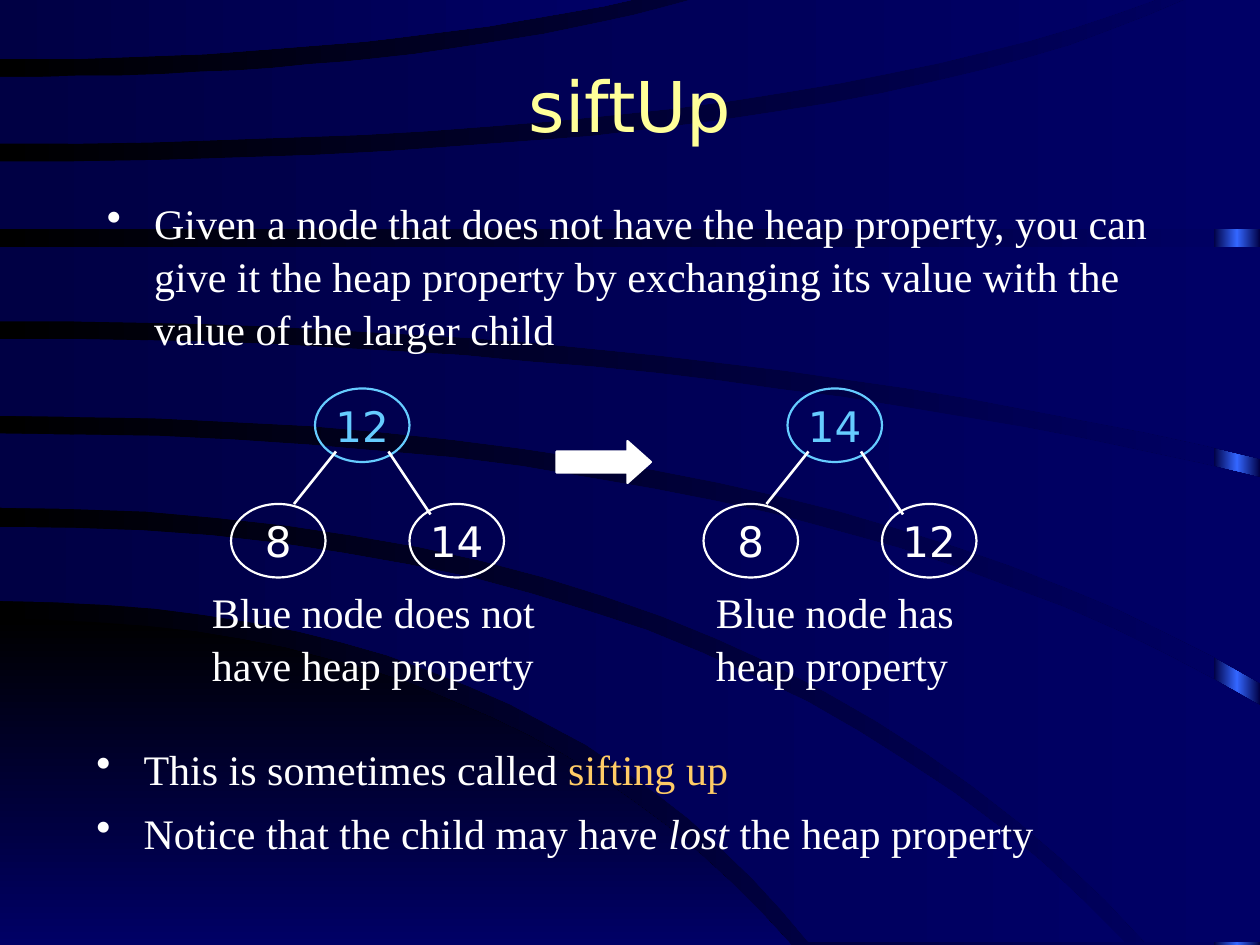
import copy

import pptx
import pptx.dml.color
import pptx.enum.shapes
import pptx.enum.text
import pptx.oxml
import pptx.oxml.ns
import pptx.util

RGB = pptx.dml.color.RGBColor
SHAPE = pptx.enum.shapes.MSO_SHAPE
ALIGN = pptx.enum.text.PP_ALIGN
ANCHOR = pptx.enum.text.MSO_ANCHOR

BLACK = RGB(0x00, 0x00, 0x00)
NAVY = RGB(0x00, 0x00, 0x66)
DARK_NAVY = RGB(0x00, 0x00, 0x44)
BLUE = RGB(0x33, 0x66, 0xFF)
SKY = RGB(0x66, 0xCC, 0xFF)
WHITE = RGB(0xFF, 0xFF, 0xFF)
YELLOW = RGB(0xFF, 0xFF, 0x99)
ORANGE = RGB(0xFF, 0xCC, 0x66)

SERIF = "Times New Roman"
SANS = "DejaVu Sans"


class SlideBuilder:
    """Draw styled elements on a 120 by 90 grid, and swooshes in thousandths of the width."""

    def __init__(self, prs):
        self.s = prs.slides.add_slide(prs.slide_layouts[6])
        self.shapes = self.s.shapes
        self.col = prs.slide_width / 120
        self.row = prs.slide_height / 90
        self.share = prs.slide_width / 1000

    def box(self, x, y, w, h):
        return [round(v) for v in (x * self.col, y * self.row, w * self.col, h * self.row)]

    def gradient(self, fill, colors, angle=0):
        fill.gradient()
        fill.gradient_angle = angle
        first = fill._fill._gradFill.gsLst[0]
        for _ in colors[2:]:
            first.addnext(copy.deepcopy(first))
        for i, (stop, color) in enumerate(zip(fill.gradient_stops, colors)):
            stop.color.rgb = color
            stop.position = i / (len(colors) - 1)

    def background(self, *colors):
        self.gradient(self.s.background.fill, colors)

    def curve(self, y0, bend, x1, y1, steps=20):
        ts = [i / steps for i in range(steps + 1)]
        return [(2 * t * (1 - t) * bend + t * t * x1, y0 + t * t * (y1 - y0)) for t in ts]

    def swoosh(self, top, bottom, colors, angle=0, corners=()):
        points = self.curve(*top) + list(corners) + self.curve(*bottom)[::-1]
        fb = self.shapes.build_freeform(*points[0], scale=self.share)
        fb.add_line_segments(points[1:], close=True)
        sp = fb.convert_to_shape()
        sp.shadow.inherit = False
        sp.line.fill.background()
        self.gradient(sp.fill, colors, angle)

    def strip(self, box, colors):
        sp = self.shape(SHAPE.RECTANGLE, box)
        sp.line.fill.background()
        self.gradient(sp.fill, colors)

    def shape(self, kind, box, line=WHITE, fill=None):
        sp = self.shapes.add_shape(kind, *self.box(*box))
        sp.shadow.inherit = False
        sp.line.color.rgb = line
        sp.line.width = pptx.util.Pt(1.25)
        if fill is None:
            sp.fill.background()
        else:
            sp.fill.solid()
            sp.fill.fore_color.rgb = fill
        return sp

    def run(self, p, text, color=WHITE, font=SERIF, size=24, italic=False):
        r = p.add_run()
        r.text = text
        r.font.name = font
        r.font.size = pptx.util.Pt(size)
        r.font.color.rgb = color
        r.font.italic = italic

    def node(self, x, y, text, color=WHITE):
        tf = self.shape(SHAPE.OVAL, (x, y, 9, 7), color).text_frame
        tf.word_wrap = False
        p = tf.paragraphs[0]
        p.alignment = ALIGN.CENTER
        self.run(p, text, color, SANS)

    def edge(self, x1, y1, x2, y2):
        ends = self.box(x1, y1, x2, y2)
        c = self.shapes.add_connector(pptx.enum.shapes.MSO_CONNECTOR.STRAIGHT, *ends)
        c.line.color.rgb = WHITE
        c.line.width = pptx.util.Pt(1.5)
        c._element.spPr.append(pptx.oxml.parse_xml(
            "<a:effectLst %s/>" % pptx.oxml.ns.nsdecls("a")))

    def textbox(self, box):
        tf = self.shapes.add_textbox(*self.box(*box)).text_frame
        tf.word_wrap = True
        return tf

    def title(self, box, text):
        tf = self.textbox(box)
        tf.vertical_anchor = ANCHOR.MIDDLE
        p = tf.paragraphs[0]
        p.alignment = ALIGN.CENTER
        self.run(p, text, YELLOW, SANS, 40)

    def label(self, box, text):
        p = self.textbox(box).paragraphs[0]
        p.line_spacing = 1.05
        self.run(p, text)

    def bullets(self, box, items):
        tf = self.textbox(box)
        for i, runs in enumerate(items):
            p = tf.add_paragraph() if i else tf.paragraphs[0]
            p.line_spacing = 1.05
            p.space_before = pptx.util.Pt(6)
            pPr = p._p.get_or_add_pPr()
            indent = round(4.5 * self.col)
            pPr.set("marL", str(indent))
            pPr.set("indent", str(-indent))
            pPr.append(pptx.oxml.parse_xml(
                '<a:buChar %s char="•"/>' % pptx.oxml.ns.nsdecls("a")))
            for text, style in runs:
                self.run(p, text, **style)

    def tree(self, x, root, left, right, label, label_x, label_w):
        self.shapes = self.s.shapes.add_group_shape().shapes
        self.node(x + 8, 37, root, SKY)
        self.node(x, 48, left)
        self.node(x + 17, 48, right)
        self.edge(x + 10, 43, x + 6, 48)
        self.edge(x + 15, 43, x + 19, 49)
        self.label((label_x, 55, label_w, 10.8), label)
        self.shapes = self.s.shapes


def main():
    prs = pptx.Presentation()
    prs.slide_width = pptx.util.Inches(10)
    prs.slide_height = pptx.util.Inches(7.5)
    b = SlideBuilder(prs)
    b.background(BLACK, NAVY)
    b.strip((115.6, 0, 4.4, 90), (DARK_NAVY, BLUE, DARK_NAVY))
    b.swoosh((491, 403, 628, 750), (750, 300, 628, 750), (BLACK, NAVY), 270)
    ribbons = [
        ((418, 579, 893, 748), (477, 425, 642, 748)),
        ((344, 640, 1000, 560), (403, 595, 909, 748), [(1000, 748)]),
        ((269, 540, 1000, 379), (330, 640, 1000, 542)),
        ((196, 500, 1000, 196), (255, 545, 1000, 364)),
        ((128, 666, 940, 0), (182, 500, 1000, 182), [(1000, 0)]),
        ((61, 330, 548, 0), (114, 614, 917, 0)),
        ((0, 250, 501, 0), (47, 280, 501, 0))]
    for top, bottom, *corners in ribbons:
        b.swoosh(top, bottom, (DARK_NAVY, NAVY), corners=sum(corners, []))
    b.title((4, 5, 112, 10), "siftUp")
    b.bullets((9, 18, 102, 20), [[
        ("Given a node that does not have the heap property, you can give it the heap "
         "property by exchanging its value with the value of the larger child", {})]])
    b.bullets((8, 70, 103, 17), [
        [("This is sometimes called ", {}), ("sifting up", {"color": ORANGE})],
        [("Notice that the child may have ", {}), ("lost", {"italic": True}),
         (" the heap property", {})]])
    b.tree(67, "14", "8", "12", "Blue node has heap property", 67, 26)
    b.tree(22, "12", "8", "14", "Blue node does not have heap property", 19, 34)
    arrow = b.shape(SHAPE.RIGHT_ARROW, (53, 42, 9, 4), fill=WHITE)
    arrow.adjustments[1] = 0.56
    prs.save("out.pptx")


if __name__ == "__main__":
    main()
